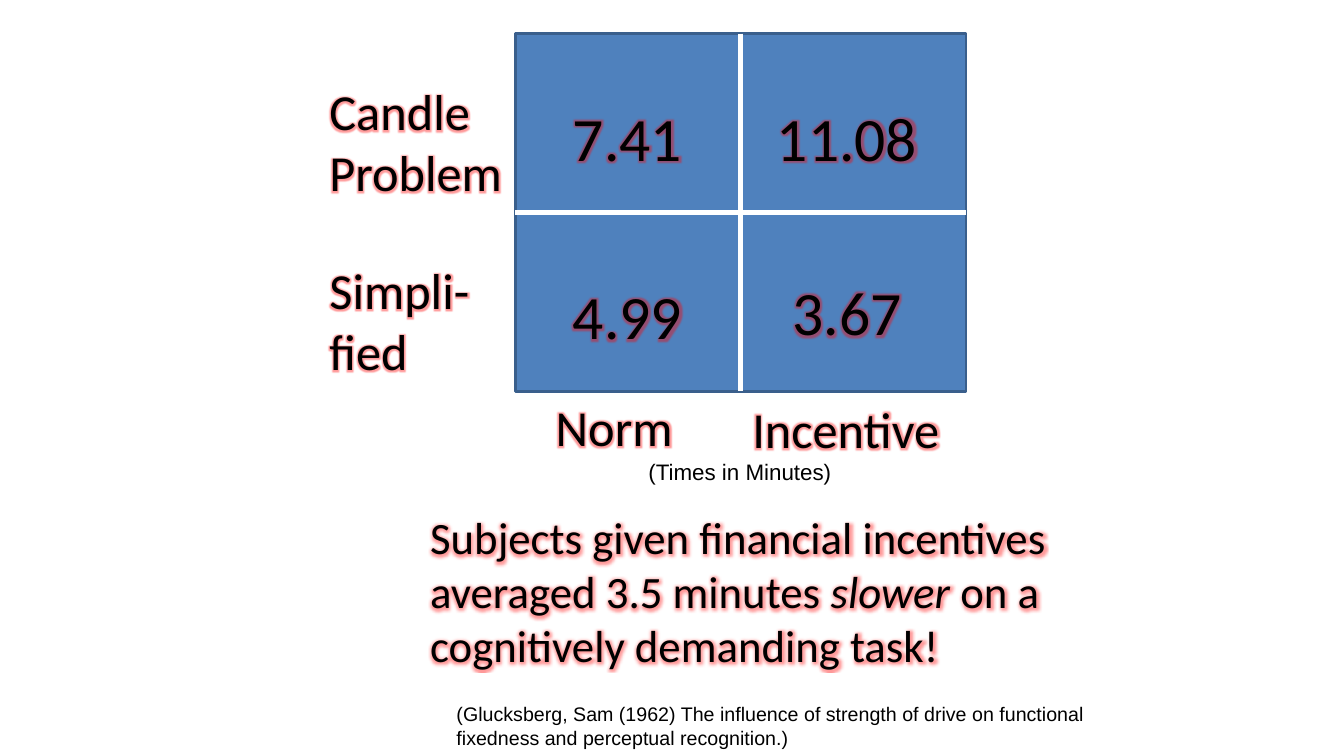
import pptx
import pptx.util
import pptx.dml.color
import pptx.enum.shapes
import pptx.enum.text
import pptx.oxml
import pptx.oxml.ns

Pt = pptx.util.Pt
RGB = pptx.dml.color.RGBColor.from_string
ALIGN = pptx.enum.text.PP_ALIGN

# Content
ROW_LABELS = [["Candle", "Problem"], ["Simpli-", "fied"]]
# text, left, top, width, height
COLUMN_LABELS = [("Norm", 389, 279.4, 98.6, 51), ("Incentive", 524, 280.8, 154, 51)]
TIMES = [
    ("7.41", 401.8, 67.7, 93, 60.5),
    ("11.08", 547.2, 67.7, 116, 60.5),
    ("4.99", 401.8, 195.1, 93, 60.5),
    ("3.67", 558.7, 192.2, 93, 60.5),
]
UNIT = "(Times in Minutes)"
FINDING = [
    ("Subjects given financial incentives averaged 3.5 minutes ", False),
    ("slower", True),
    (" on a cognitively demanding task!", False),
]
SOURCE = ("(Glucksberg, Sam (1962) The influence of strength of drive "
          "on functional fixedness and perceptual recognition.)")

THEME = {
    "cell": "4F81BD", "border": "3A5F8C", "divider": "FFFFFF", "glow": "FF0000",
    "label": {"name": "Calibri", "size": Pt(36)},
    "time": {"name": "Calibri", "size": Pt(44)},
    "finding": {"name": "Calibri", "size": Pt(32)},
    "unit": {"name": "Arial", "size": Pt(16)},
    "source": {"name": "Arial", "size": Pt(14)},
}
GRID_LEFT, GRID_TOP, CELL_WIDTH, CELL_HEIGHT = 368, 24, 161, 127.8

deck = pptx.Presentation()
deck.slide_width, deck.slide_height = Pt(960), Pt(540)
page = deck.slides.add_slide(deck.slide_layouts[6])


def add_glow(span):
    glow = pptx.oxml.parse_xml(
        f'<a:effectLst {pptx.oxml.ns.nsdecls("a")}><a:glow rad="63500">'
        f'<a:srgbClr val="{THEME["glow"]}"><a:alpha val="40000"/></a:srgbClr>'
        '</a:glow></a:effectLst>')
    fill = span.font._element.find(pptx.oxml.ns.qn("a:solidFill"))
    fill.addnext(glow)


def add_text(lines, place, style, align=ALIGN.LEFT, wrap=True, glow=True):
    """Each line is a list of (text, italic) spans."""
    box = page.shapes.add_textbox(*map(Pt, place))
    box.text_frame.word_wrap = wrap
    box.text_frame.auto_size = pptx.enum.text.MSO_AUTO_SIZE.SHAPE_TO_FIT_TEXT
    para = box.text_frame.paragraphs[0]
    para.alignment = align
    for name, value in THEME[style].items():
        setattr(para.font, name, value)
    for index, line in enumerate(lines):
        if index:
            para.add_line_break()
        for text, italic in line:
            span = para.add_run()
            span.text = text
            for name, value in {**THEME[style], "italic": italic}.items():
                setattr(span.font, name, value)
            span.font.color.rgb = RGB("000000")
            if glow:
                add_glow(span)


def add_divider(left, top, right, bottom):
    divider = page.shapes.add_connector(
        pptx.enum.shapes.MSO_CONNECTOR.STRAIGHT, *map(Pt, (left, top, right, bottom)))
    divider.line.color.rgb = RGB(THEME["divider"])
    divider.line.width = Pt(3)
    divider._element.spPr.append(
        pptx.oxml.parse_xml(f'<a:effectLst {pptx.oxml.ns.nsdecls("a")}/>'))


# Two-by-two grid
grid_right, grid_bottom = GRID_LEFT + 2 * CELL_WIDTH, GRID_TOP + 2 * CELL_HEIGHT
middle_x, middle_y = GRID_LEFT + CELL_WIDTH, GRID_TOP + CELL_HEIGHT
grid = page.shapes.add_shape(
    pptx.enum.shapes.MSO_SHAPE.RECTANGLE,
    *map(Pt, (GRID_LEFT, GRID_TOP, 2 * CELL_WIDTH, 2 * CELL_HEIGHT)))
grid.shadow.inherit = False
grid.fill.solid()
grid.fill.fore_color.rgb = RGB(THEME["cell"])
grid.line.color.rgb = RGB(THEME["border"])
grid.line.width = Pt(2)
add_divider(middle_x, GRID_TOP, middle_x, grid_bottom)
add_divider(GRID_LEFT, middle_y, grid_right, middle_y)

# Row and column labels
for row, words in enumerate(ROW_LABELS):
    place = (228.2, 54 + row * CELL_HEIGHT, 151, 94.3)
    add_text([[(word, False)] for word in words], place, "label")
for text, *place in COLUMN_LABELS:
    add_text([[(text, False)]], place, "label", ALIGN.RIGHT, wrap=False)

# Measured times
for text, *place in TIMES:
    add_text([[(text, False)]], place, "time", ALIGN.CENTER, wrap=False)
add_text([[(UNIT, False)]], (455.8, 324, 145.4, 26.6), "unit",
         ALIGN.CENTER, wrap=False, glow=False)

# Source and finding
add_text([[(SOURCE, False)]], (319, 498.2, 513.4, 41), "source", glow=False)
add_text([FINDING], (300.2, 360.7, 513.4, 123.8), "finding")

deck.save("out.pptx")
